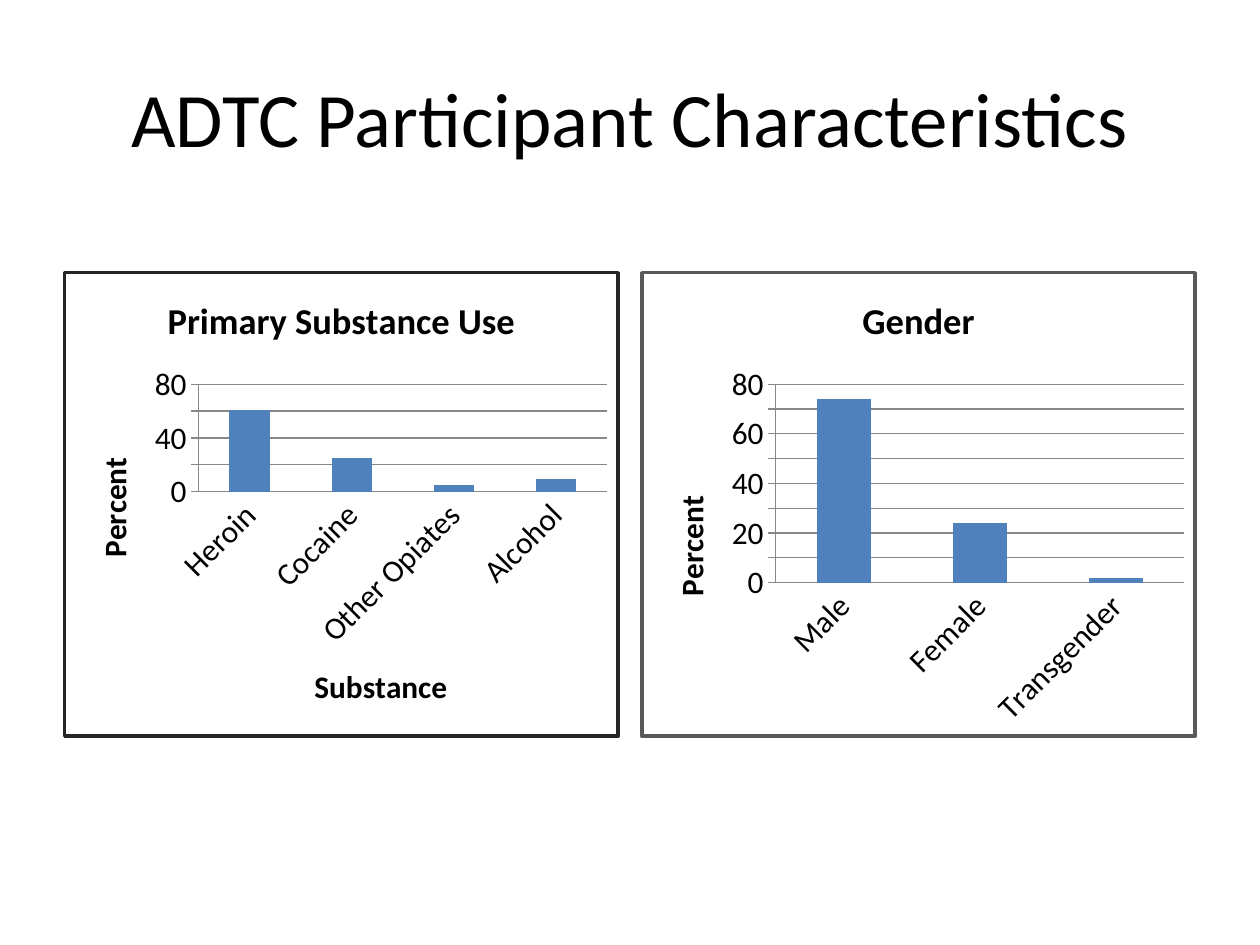
"""Build the participant characteristics slide with two column charts."""
import dataclasses

import lxml.etree
import pptx
import pptx.chart.data
import pptx.dml.color
import pptx.enum.chart
import pptx.enum.text
import pptx.oxml.ns
import pptx.slide
import pptx.text.text
import pptx.util

EMU_PER_PX = 914400 / 126


@dataclasses.dataclass(frozen=True)
class Theme:
    font: str = "Calibri"
    text: str = "000000"
    bar: str = "4F81BD"
    axis: str = "878787"
    title_size: int = 44
    chart_title_size: int = 21
    label_size: int = 18
    border_width: int = 2
    axis_width: float = 0.75


@dataclasses.dataclass(frozen=True)
class Panel:
    title: str
    left: int
    border: str
    major_unit: int
    values: dict[str, int]
    category_title: str = ""


THEME = Theme()
PANEL_TOP, PANEL_WIDTH, PANEL_HEIGHT = 271, 557, 467
PANELS = (
    Panel("Primary Substance Use", 63, "262626", 20,
          {"Heroin": 61, "Cocaine": 25, "Other Opiates": 5, "Alcohol": 9}, "Substance"),
    Panel("Gender", 640, "595959", 10, {"Male": 74, "Female": 24, "Transgender": 2}),
)


def px(length: int) -> pptx.util.Emu:
    return pptx.util.Emu(round(length * EMU_PER_PX))


def color(value: str) -> pptx.dml.color.RGBColor:
    return pptx.dml.color.RGBColor.from_string(value)


def style_font(font: pptx.text.text.Font, size: int, bold: bool = False) -> None:
    font.name = THEME.font
    font.size = pptx.util.Pt(size)
    font.bold = bold
    font.color.rgb = color(THEME.text)


def write_text(frame: pptx.text.text.TextFrame, text: str, *, size: int, bold: bool = False) -> None:
    paragraph = frame.paragraphs[0]
    paragraph.alignment = pptx.enum.text.PP_ALIGN.CENTER
    run = paragraph.add_run()
    run.text = text
    style_font(run.font, size, bold)


def add_title(slide: pptx.slide.Slide, text: str) -> None:
    shape = slide.shapes.add_textbox(px(63), px(38), px(1134), px(157))
    shape.text_frame.word_wrap = True
    shape.text_frame.vertical_anchor = pptx.enum.text.MSO_ANCHOR.MIDDLE
    write_text(shape.text_frame, text, size=THEME.title_size)


def add_border(chart_space: lxml.etree.ElementBase, border: str) -> None:
    qn = pptx.oxml.ns.qn
    properties = lxml.etree.Element(qn("c:spPr"))
    width = str(pptx.util.Pt(THEME.border_width))
    line = lxml.etree.SubElement(properties, qn("a:ln"), w=width)
    fill = lxml.etree.SubElement(line, qn("a:solidFill"))
    lxml.etree.SubElement(fill, qn("a:srgbClr"), val=border)
    chart_space.find(qn("c:chart")).addnext(properties)


def add_panel(slide: pptx.slide.Slide, panel: Panel) -> None:
    data = pptx.chart.data.CategoryChartData()
    data.categories = list(panel.values)
    data.add_series("Series 1", list(panel.values.values()))
    chart = slide.shapes.add_chart(
        pptx.enum.chart.XL_CHART_TYPE.COLUMN_CLUSTERED,
        px(panel.left), px(PANEL_TOP), px(PANEL_WIDTH), px(PANEL_HEIGHT), data,
    ).chart
    style_font(chart.font, THEME.label_size)
    add_border(chart.element if hasattr(chart, "element") else chart._chartSpace, panel.border)
    chart.has_legend = False
    chart.has_title = True
    write_text(chart.chart_title.text_frame, panel.title, size=THEME.chart_title_size, bold=True)

    plot = chart.plots[0]
    plot.gap_width = 150
    plot.vary_by_categories = False
    fill = plot.series[0].format.fill
    fill.solid()
    fill.fore_color.rgb = color(THEME.bar)

    category_axis, value_axis = chart.category_axis, chart.value_axis
    value_axis.minimum_scale, value_axis.maximum_scale = 0, 80
    value_axis.major_unit = panel.major_unit
    value_axis.has_major_gridlines = True
    category_axis.major_tick_mark = pptx.enum.chart.XL_TICK_MARK.NONE
    value_axis.major_tick_mark = pptx.enum.chart.XL_TICK_MARK.OUTSIDE
    for part in (category_axis, value_axis, value_axis.major_gridlines):
        part.format.line.color.rgb = color(THEME.axis)
        part.format.line.width = pptx.util.Pt(THEME.axis_width)
    for axis, text in ((category_axis, panel.category_title), (value_axis, "Percent")):
        style_font(axis.tick_labels.font, THEME.label_size)
        axis.has_title = bool(text)
        if text:
            write_text(axis.axis_title.text_frame, text, size=THEME.label_size, bold=True)
    category_axis._element.txPr.bodyPr.set("rot", "-2700000")
    title_body = value_axis.axis_title.text_frame._txBody.bodyPr
    title_body.set("rot", "-5400000")
    title_body.set("vert", "horz")


def main() -> None:
    presentation = pptx.Presentation()
    presentation.slide_width, presentation.slide_height = px(1260), px(945)
    slide = presentation.slides.add_slide(presentation.slide_layouts[6])
    for panel in PANELS:
        add_panel(slide, panel)
    add_title(slide, "ADTC Participant Characteristics")
    presentation.save("out.pptx")


if __name__ == "__main__":
    main()
